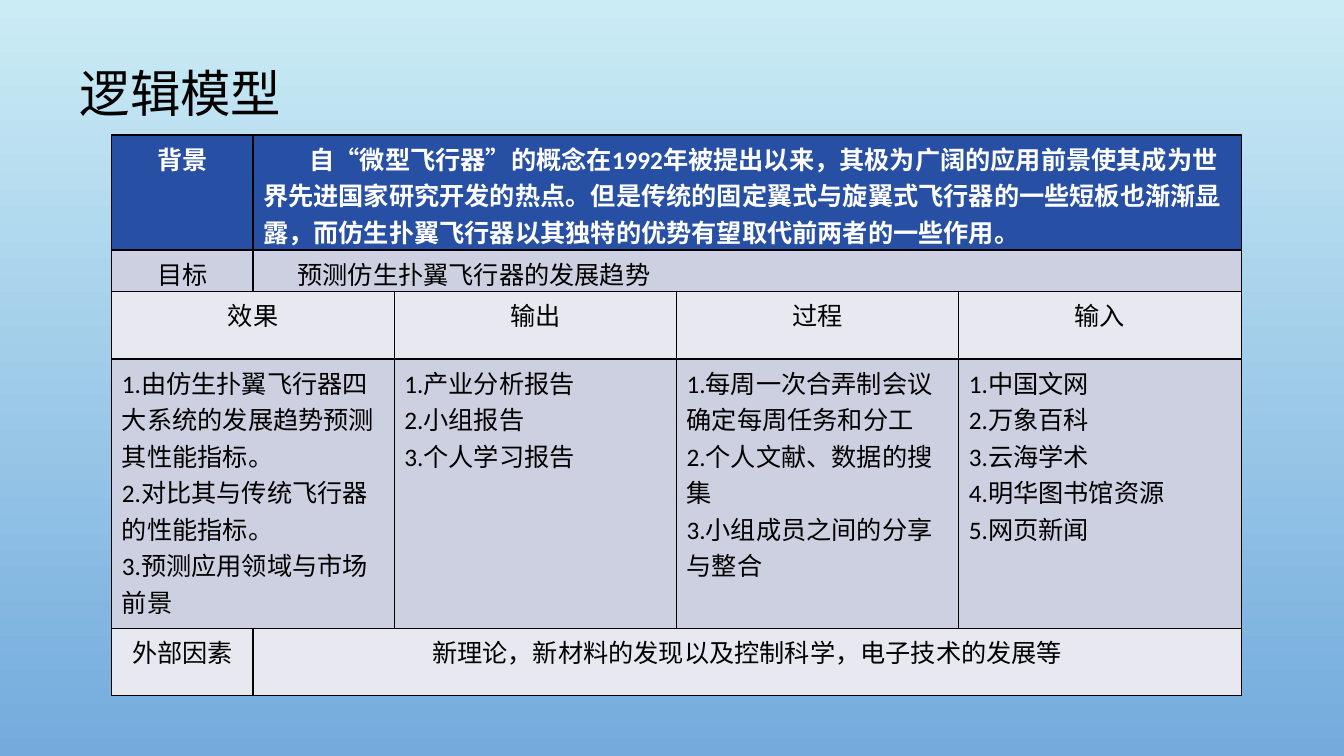
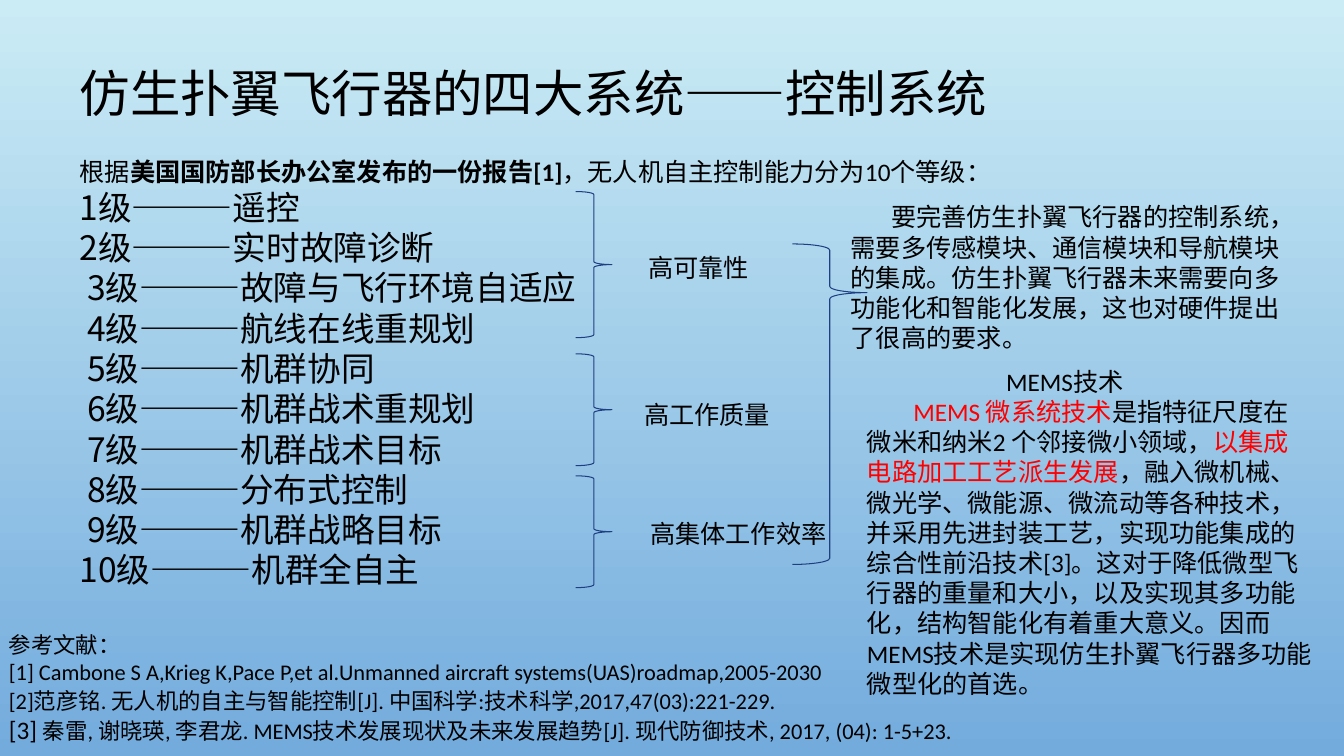
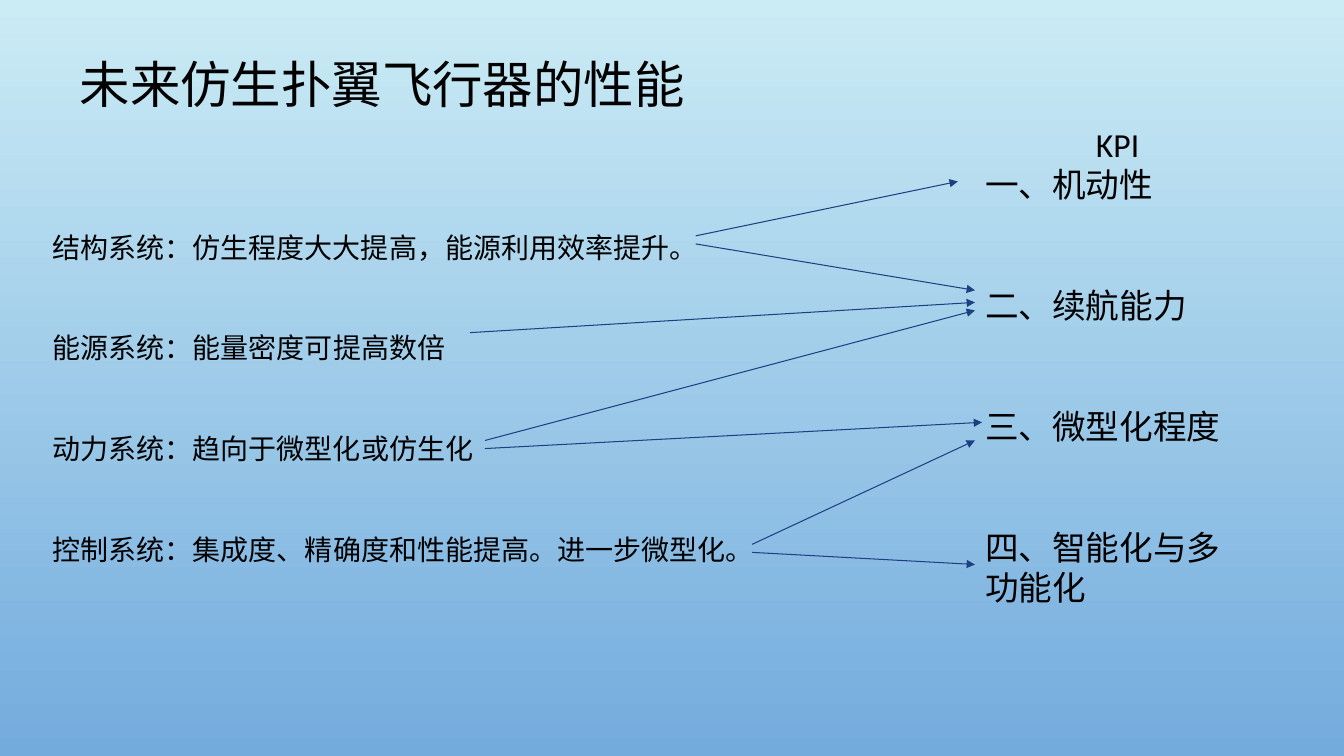
import dataclasses

import pptx
import pptx.dml.color
import pptx.enum.shapes
import pptx.enum.text
import pptx.oxml
import pptx.oxml.ns
import pptx.oxml.xmlchemy
import pptx.util
from pptx.util import Inches, Pt

ALIGN = pptx.enum.text.PP_ALIGN
ANCHOR = pptx.enum.text.MSO_ANCHOR
SHAPE = pptx.enum.shapes.MSO_SHAPE
qn = pptx.oxml.ns.qn


@dataclasses.dataclass(frozen=True)
class Theme:
    sky: str = "CBECF5"
    blue: str = "73ABDD"
    ink: str = "000000"
    white: str = "FFFFFF"
    red: str = "FF0000"
    line: str = "1F3F83"
    header: str = "274FA4"
    dark_band: str = "CDD0E0"
    light_band: str = "E8E9F0"
    latin: str = "Calibri"
    chinese: str = "Noto Sans CJK SC"
    title_size: int = 36
    large: int = 24
    medium: int = 20
    text: int = 18
    small: int = 16
    line_width: float = 0.75
    leading: float = 1.2


THEME = Theme()


def rgb(value):
    return pptx.dml.color.RGBColor.from_string(value)


def add_xml(parent, tag, **attributes):
    child = pptx.oxml.parse_xml(f"<{tag} {pptx.oxml.ns.nsdecls('a')}/>")
    for name, value in attributes.items():
        child.set(name, str(value))
    parent.append(child)
    return child


def write(frame, text, *, size=THEME.text, font=THEME.latin, color=THEME.ink, bold=False,
          align=ALIGN.LEFT, left=0, indent=0, before=0, leading=THEME.leading):
    """Add one paragraph; text is a string or a list of (string, format changes)."""
    para = frame.paragraphs[0]
    if para.runs:
        para = frame.add_paragraph()
    spans = [(text, {})] if isinstance(text, str) else text
    para.alignment = align
    para.space_before = Pt(before)
    para.space_after = Pt(0)
    if leading:
        tallest = max(changes.get("size", size) for _, changes in spans)
        para.line_spacing = Pt(round(tallest * leading, 2))
    properties = para._p.get_or_add_pPr()
    properties.set("marL", str(Inches(left)))
    properties.set("indent", str(Inches(indent)))
    add_xml(properties, "a:buNone")
    for words, changes in spans:
        span = para.add_run()
        span.text = words
        span.font.name = font
        span.font.size = Pt(changes.get("size", size))
        span.font.bold = changes.get("bold", bold)
        span.font.color.rgb = rgb(changes.get("color", color))
        add_xml(span._r.get_or_add_rPr(), "a:ea", typeface=THEME.chinese)


class SlideBuilder:
    """Holds the theme, the deck and the slide being filled."""

    def __init__(self, theme):
        self.theme = theme
        self.page = None
        self.deck = pptx.Presentation()
        self.deck.slide_width = Inches(13.33)
        self.deck.slide_height = Inches(7.5)
        fill = self.deck.slide_master.background.fill
        fill.gradient()
        fill.gradient_angle = 270
        for stop, color in zip(fill.gradient_stops, (theme.sky, theme.blue)):
            stop.color.rgb = rgb(color)

    def start(self, layout, title, top=0.53, width=10.4):
        self.page = self.deck.slides.add_slide(self.deck.slide_layouts.get_by_name(layout))
        size = self.theme.title_size
        frame = self.place(self.page.shapes.title, 0.69, top, width, 0.71, size)
        write(frame, title, size=size, font=self.theme.chinese)

    def place(self, box, left, top, width, height, size):
        """Position a text holder; the top inset grows with its first line."""
        box.left, box.top = Inches(left), Inches(top)
        box.width, box.height = Inches(width), Inches(height)
        frame = box.text_frame
        frame.word_wrap = True
        frame.auto_size = pptx.enum.text.MSO_AUTO_SIZE.NONE
        frame.vertical_anchor = ANCHOR.TOP
        frame.margin_left = frame.margin_right = Inches(0.1)
        frame.margin_top = Pt(round(3.6 + 0.08 * size, 2))
        frame.margin_bottom = 0
        return frame

    def body(self, index, left, top, width, height, size):
        return self.place(self.page.placeholders[index], left, top, width, height, size)

    def text_box(self, left, top, width, height, size=THEME.text):
        box = self.page.shapes.add_textbox(0, 0, 0, 0)
        return self.place(box, left, top, width, height, size)

    def stroke(self, line):
        line.color.rgb = rgb(self.theme.line)
        line.width = Pt(self.theme.line_width)

    def brace(self, left, top, width, height, tip=0.5):
        brace = self.page.shapes.add_shape(
            SHAPE.RIGHT_BRACE, Inches(left), Inches(top), Inches(width), Inches(height))
        brace.adjustments[0] = 0.083
        brace.adjustments[1] = tip
        brace.shadow.inherit = False
        brace.fill.background()
        self.stroke(brace.line)

    def arrow(self, x1, y1, x2, y2):
        arrow = self.page.shapes.add_connector(
            pptx.enum.shapes.MSO_CONNECTOR.STRAIGHT,
            Inches(x1), Inches(y1), Inches(x2), Inches(y2))
        self.stroke(arrow.line)
        properties = arrow.element.spPr
        add_xml(properties.find(qn("a:ln")), "a:tailEnd", type="triangle")
        add_xml(properties, "a:effectLst")

    def table(self, left, top, columns, heights, fills):
        frame = self.page.shapes.add_table(
            len(heights), len(columns), Inches(left), Inches(top),
            Inches(sum(columns)), Inches(sum(heights)))
        table = frame.table
        for column, width in zip(table.columns, columns):
            column.width = Inches(width)
        for row, height, color in zip(table.rows, heights, fills):
            row.height = Inches(height)
            for cell in row.cells:
                self.cell_style(cell, color)
        return table

    def cell_style(self, cell, color):
        properties = cell._tc.get_or_add_tcPr()
        for side in ("a:lnL", "a:lnR", "a:lnT", "a:lnB"):
            border = add_xml(properties, side, w=Pt(1))
            add_xml(add_xml(border, "a:solidFill"), "a:srgbClr", val=self.theme.ink)
        cell.fill.solid()
        cell.fill.fore_color.rgb = rgb(color)
        cell.margin_left = cell.margin_right = Inches(0.1)
        cell.margin_top = Inches(0.05)
        cell.margin_bottom = 0


def logic_model(slides):
    theme = slides.theme
    slides.start("Title Only", "逻辑模型", width=3.06)
    table = slides.table(
        1.11, 1.34, [1.4, 1.4, 2.8, 2.8, 2.8], [1.14, 0.41, 0.67, 2.67, 0.67],
        [theme.header, theme.dark_band, theme.light_band, theme.dark_band, theme.light_band])
    for row, first, last in ((0, 1, 4), (1, 1, 4), (2, 0, 1), (3, 0, 1), (4, 1, 4)):
        table.cell(row, first).merge(table.cell(row, last))

    header = {"color": theme.white, "bold": True}
    centre = {"align": ALIGN.CENTER}
    cells = [
        (0, 0, ["背景"], {**header, **centre}),
        (0, 1, ["自“微型飞行器”的概念在1992年被提出以来，其极为广阔的应用前景使其成为世界先进国家"
                "研究开发的热点。但是传统的固定翼式与旋翼式飞行器的一些短板也渐渐显露，而仿生扑翼"
                "飞行器以其独特的优势有望取代前两者的一些作用。"], {**header, "indent": 0.46}),
        (1, 0, ["目标"], centre),
        (1, 1, ["预测仿生扑翼飞行器的发展趋势"], {"indent": 0.34}),
        (2, 0, ["效果"], centre),
        (2, 2, ["输出"], centre),
        (2, 3, ["过程"], centre),
        (2, 4, ["输入"], centre),
        (3, 0, ["1.由仿生扑翼飞行器四大系统的发展趋势预测其性能指标。",
                "2.对比其与传统飞行器的性能指标。", "3.预测应用领域与市场前景"], {}),
        (3, 2, ["1.产业分析报告", "2.小组报告", "3.个人学习报告"], {}),
        (3, 3, ["1.每周一次合弄制会议确定每周任务和分工", "2.个人文献、数据的搜集",
                "3.小组成员之间的分享与整合"], {}),
        (3, 4, ["1.中国文网", "2.万象百科", "3.云海学术", "4.明华图书馆资源", "5.网页新闻"], {}),
        (4, 0, ["外部因素"], centre),
        (4, 1, ["新理论，新材料的发现以及控制科学，电子技术的发展等"], centre),
    ]
    for row, column, lines, style in cells:
        for line in lines:
            write(table.cell(row, column).text_frame, line, leading=None, **style)


def control_system(slides):
    theme = slides.theme
    slides.start("Title and Content", "仿生扑翼飞行器的四大系统——控制系统")

    references = slides.text_box(-0.01, 6.19, 11.44, 1.25, theme.small)
    write(references, "参考文献：", size=theme.small)
    write(references, "[1] Cambone S A,Krieg K,Pace P,et al.Unmanned aircraft "
                      "systems(UAS)roadmap,2005-2030", size=theme.small)
    write(references, "[2]范彦铭. 无人机的自主与智能控制[J]. 中国科学:技术科学,2017,47(03):221-229.",
          size=theme.small, before=2)
    write(references, [("[3] ", {"size": theme.text}),
                       ("秦雷, 谢晓瑛, 李君龙. MEMS技术发展现状及未来发展趋势[J]. 现代防御技术, "
                        "2017, (04): 1-5+23.", {})], size=theme.small)

    levels = slides.body(1, 0.69, 1.48, 9.54, 4.44, theme.text)
    write(levels, [("根据", {}), ("美国国防部长办公室发布的一份报告[1]", {"bold": True}),
                   ("，无人机自主控制能力分为10个等级：", {})])
    abilities = ["遥控", "实时故障诊断", "故障与飞行环境自适应", "航线在线重规划", "机群协同",
                 "机群战术重规划", "机群战术目标", "分布式控制", "机群战略目标", "机群全自主"]
    for number, ability in enumerate(abilities, 1):
        space = " " if 3 <= number <= 9 else ""
        write(levels, f"{space}{number}级———{ability}", size=theme.large, font=theme.chinese)

    for top, height in ((1.9, 1.45), (3.51, 1.11), (4.72, 1.11)):
        slides.brace(5.71, top, 0.36, height)
    for label, left, top, width in (("高可靠性", 6.33, 2.43, 1.21),
                                    ("高集体工作效率", 6.35, 5.07, 1.99),
                                    ("高工作质量", 6.29, 3.89, 1.71)):
        frame = slides.text_box(left, top, width, 0.4)
        frame.word_wrap = False
        write(frame, label)

    write(slides.text_box(8.34, 1.93, 4.5, 1.62),
          "要完善仿生扑翼飞行器的控制系统，需要多传感模块、通信模块和导航模块的集成。仿生扑翼"
          "飞行器未来需要向多功能化和智能化发展，这也对硬件提出了很高的要求。", indent=0.4)
    mems = slides.text_box(8, 3.56, 5.12, 3.74)
    write(mems, "MEMS技术", align=ALIGN.CENTER)
    red = {"color": theme.red}
    write(mems, [
        ("MEMS 微系统技术", red),
        ("是指特征尺度在微米和纳米2 个邻接微小领域，", {}),
        ("以集成电路加工工艺派生发展", red),
        ("，融入微机械、微光学、微能源、微流动等各种技术，并采用先进封装工艺，实现功能集成的"
         "综合性前沿技术[3]。这对于降低微型飞行器的重量和大小，以及实现其多功能化，结构智能化"
         "有着重大意义。因而MEMS技术是实现仿生扑翼飞行器多功能微型化的首选。", {}),
    ], left=0.5, indent=0.46)
    slides.brace(7.86, 2.42, 0.74, 3.18, tip=0.152)


def future_performance(slides):
    theme = slides.theme
    slides.start("Two Content", "未来仿生扑翼飞行器的性能", top=0.44)

    systems = slides.body(1, 0.42, 2.21, 7.91, 3.47, theme.medium)
    for index, line in enumerate(["结构系统：仿生程度大大提高，能源利用效率提升。",
                                  "能源系统：能量密度可提高数倍",
                                  "动力系统：趋向于微型化或仿生化",
                                  "控制系统：集成度、精确度和性能提高。进一步微型化。"]):
        write(systems, line, size=theme.medium, before=48 if index else 0)

    indicators = slides.body(2, 9.67, 1.15, 2.83, 5.65, theme.large)
    write(indicators, "KPI", size=theme.large, align=ALIGN.CENTER)
    for index, line in enumerate(["一、机动性", "二、续航能力", "三、微型化程度",
                                  "四、智能化与多功能化"]):
        write(indicators, line, size=theme.large, before=57.6 if index else 0)

    for ends in ((4.66, 3.3, 9.67, 3), (6.9, 2.42, 9.67, 2.88), (4.81, 4.37, 9.67, 3.08),
                 (4.81, 4.45, 9.74, 4.19), (7.46, 5.4, 9.67, 4.37),
                 (7.46, 5.48, 9.67, 5.6), (6.9, 2.34, 9.5, 1.8)):
        slides.arrow(*ends)


def main():
    slides = SlideBuilder(THEME)
    logic_model(slides)
    control_system(slides)
    future_performance(slides)
    slides.deck.save("out.pptx")


if __name__ == "__main__":
    main()
